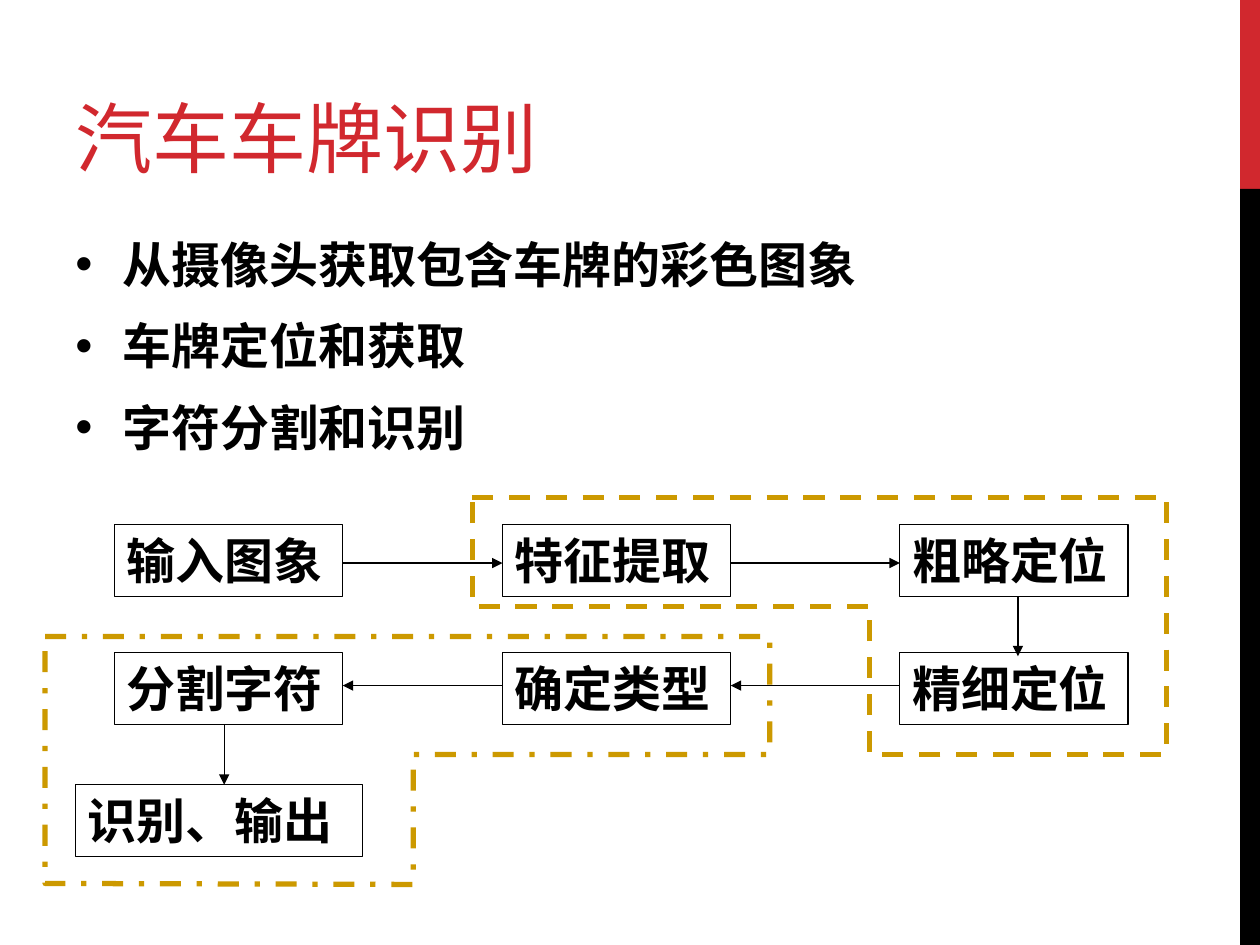
from lxml import etree
from pptx import Presentation
from pptx.dml import color
from pptx.enum import dml, shapes, text
from pptx.oxml import ns
from pptx.util import Cm, Pt

RED, BLACK, GOLD = "D1282E", "000000", "CC9900"


def paint(hue):
    return color.RGBColor.from_string(hue)


def child(node, tag, **attrs):
    return etree.SubElement(node, ns.qn(tag), attrs)


def bullet(para):
    props = para._p.get_or_add_pPr()
    props.set("marL", str(Cm(0.95)))
    props.set("indent", str(-Cm(0.95)))
    child(child(props, "a:buClr"), "a:srgbClr", val=BLACK)
    child(props, "a:buFont", typeface="Arial")
    child(props, "a:buChar", char="•")


def write(shape, lines, size=28, face="Arial", hue=BLACK, bold=True,
          anchor=text.MSO_ANCHOR.TOP, dots=False, before=0, after=0):
    frame = shape.text_frame
    frame.word_wrap = True
    frame.vertical_anchor = anchor
    for index, line in enumerate(lines):
        para = frame.add_paragraph() if index else frame.paragraphs[0]
        if dots:
            bullet(para)
        para.alignment = text.PP_ALIGN.LEFT
        para.space_before = Pt(before if index else 0)
        para.space_after = Pt(after)
        run = para.add_run()
        run.text = line
        font = run.font
        font.size, font.name, font.bold = Pt(size), face, bold
        font.color.rgb = paint(hue)


def rect(slide, x, y, w, h, fill=None, line=None):
    shape = slide.shapes.add_shape(
        shapes.MSO_SHAPE.RECTANGLE, Cm(x), Cm(y), Cm(w), Cm(h))
    shape.shadow.inherit = False
    if fill:
        shape.fill.solid()
        shape.fill.fore_color.rgb = paint(fill)
    else:
        shape.fill.background()
    if line:
        shape.line.color.rgb = paint(line)
        shape.line.width = Pt(0.75)
    else:
        shape.line.fill.background()
    return shape


def arrow(slide, x1, y1, x2, y2):
    link = slide.shapes.add_connector(
        shapes.MSO_CONNECTOR.STRAIGHT, Cm(x1), Cm(y1), Cm(x2), Cm(y2))
    link.line.color.rgb = paint(BLACK)
    link.line.width = Pt(0.75)
    child(link.line._get_or_add_ln(), "a:tailEnd", type="triangle")
    child(link._element.spPr, "a:effectLst")


def fence(slide, points, dash):
    spots = [(Cm(x), Cm(y)) for x, y in points]
    pen = slide.shapes.build_freeform(*spots[0])
    pen.add_line_segments(spots[1:], close=True)
    shape = pen.convert_to_shape()
    shape.shadow.inherit = False
    shape.fill.background()
    shape.line.color.rgb = paint(GOLD)
    shape.line.width = Pt(3)
    shape.line.dash_style = dash


def side(slide, x, y, w, h):
    rect(slide, x, y, w, h / 5, fill=RED)
    rect(slide, x, y + h / 5, w, h * 4 / 5, fill=BLACK)


def title(slide, x, y, w, h):
    box = slide.shapes.add_textbox(Cm(x), Cm(y), Cm(w), Cm(h))
    write(box, ["汽车车牌识别"], size=44, face="Montserrat", hue=RED,
          bold=False, anchor=text.MSO_ANCHOR.BOTTOM)


def body(slide, x, y, w, h):
    box = slide.shapes.add_textbox(Cm(x), Cm(y), Cm(w), Cm(h))
    write(box, ["从摄像头获取包含车牌的彩色图象", "车牌定位和获取", "字符分割和识别"],
          dots=True, before=7, after=6)


def flow(slide, x, y):
    cols, rows = (1.4, 9.22, 17.23), (0.54, 3.13)
    wide, high, last = 4.6, 1.45, 5.79
    names = (("输入图象", "特征提取", "粗略定位"),
             ("分割字符", "确定类型", "精细定位"))
    nodes = [(name, left, top, wide)
             for top, row in zip(rows, names)
             for left, name in zip(cols, row)]
    nodes.append(("识别、输出", 0.61, last, 5.79))
    for name, left, top, width in nodes:
        write(rect(slide, x + left, y + top, width, high, line=BLACK), [name])

    first, second = y + 1.32, y + 3.79
    for left, right in zip(cols, cols[1:]):
        start, end = x + left + wide, x + right
        arrow(slide, start, first, end, first)
        arrow(slide, end, second, start, second)
    for mid, top, end in ((19.61, rows[0], 3.2), (3.61, rows[1], last)):
        arrow(slide, x + mid, y + top + high, x + mid, y + end)

    find = ((8.61, 0), (22.61, 0), (22.61, 5.18),
            (16.62, 5.18), (16.62, 2.19), (8.61, 2.19))
    read = ((0, 2.8), (14.61, 2.8), (14.61, 5.18),
            (7.42, 5.18), (7.42, 7.8), (0, 7.78))
    for points, dash in ((find, dml.MSO_LINE.DASH),
                         (read, dml.MSO_LINE.DASH_DOT)):
        fence(slide, [(x + dx, y + dy) for dx, dy in points], dash)


def main():
    deck = Presentation()
    deck.slide_width, deck.slide_height = Cm(25.4), Cm(19.05)
    slide = deck.slides.add_slide(deck.slide_layouts[6])
    side(slide, 25, 0, 0.4, 19.05)
    title(slide, 1.27, 0, 16.08, 3.81)
    body(slide, 1.27, 4.6, 19.4, 5.33)
    flow(slide, 0.91, 10.03)
    deck.save("out.pptx")


if __name__ == "__main__":
    main()
